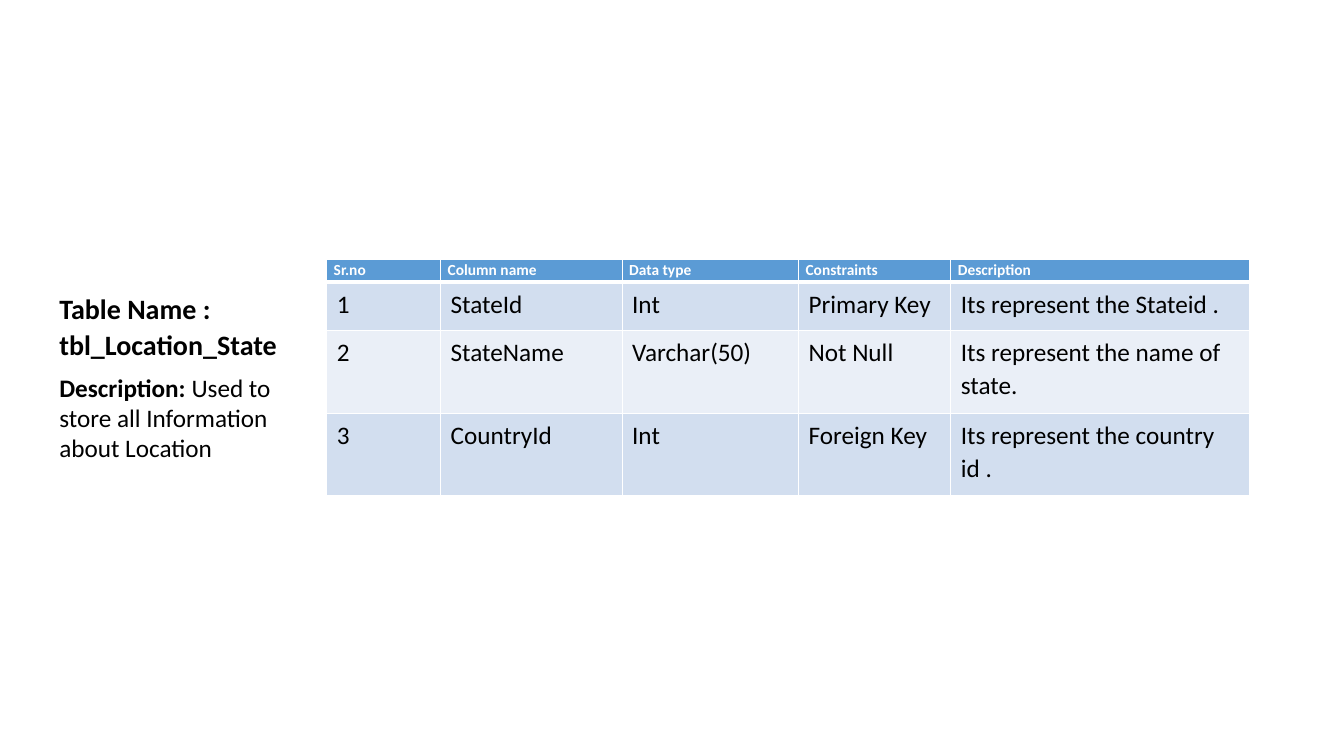
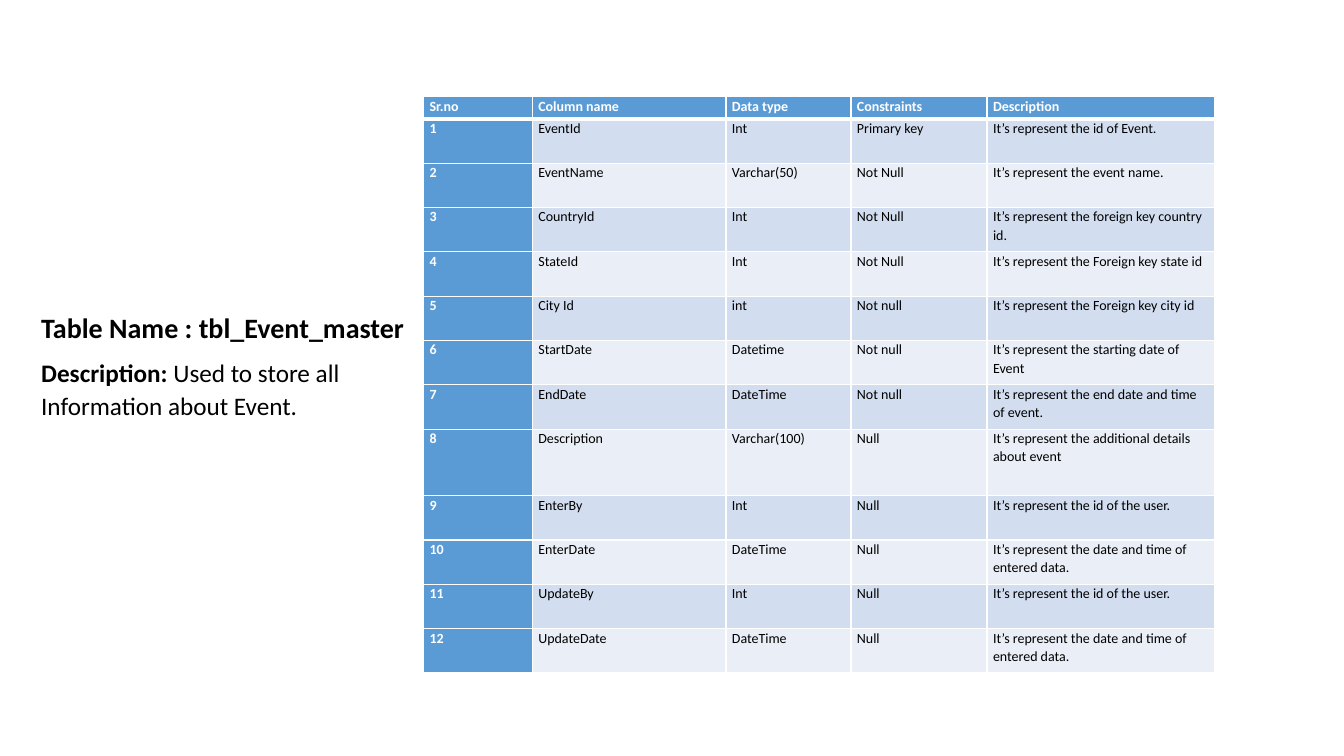
from lxml import etree
from pptx import Presentation
from pptx import util as u
from pptx.dml import color
from pptx.enum import text
from pptx.oxml import ns

HEADINGS = ["Sr.no", "Column name", "Data type", "Constraints", "Description"]

STATE_COLUMNS = [
    ("StateId", "Int", "Primary Key", "Its represent the Stateid ."),
    ("StateName", "Varchar(50)", "Not Null", "Its represent the name of state."),
    ("CountryId", "Int", "Foreign Key", "Its represent the country id ."),
]

EVENT_COLUMNS = [
    ("EventId", "Int", "Primary key", "It’s represent the id of Event."),
    ("EventName", "Varchar(50)", "Not Null", "It’s represent the event name."),
    ("CountryId", "Int", "Not Null", "It’s represent the foreign key country id."),
    ("StateId", "Int", "Not Null", "It’s represent the Foreign key state id"),
    ("City Id", "int", "Not null", "It’s represent the Foreign key city id"),
    ("StartDate", "Datetime", "Not null", "It’s represent the starting date of Event"),
    ("EndDate", "DateTime", "Not null", "It’s represent the end date and time of event."),
    ("Description", "Varchar(100)", "Null", "It’s represent the additional details about event"),
    ("EnterBy", "Int", "Null", "It’s represent the id of the user."),
    ("EnterDate", "DateTime", "Null", "It’s represent the date and time of entered data."),
    ("UpdateBy", "Int", "Null", "It’s represent the id of the user."),
    ("UpdateDate", "DateTime", "Null", "It’s represent the date and time of entered data."),
]


def rgb(value):
    return color.RGBColor.from_string(value)


class SchemaDeck:
    """Slides that each describe one database table."""

    FONT = "Calibri"
    INK, PAPER, ACCENT = "000000", "FFFFFF", "5B9BD5"
    BANDS = ("D2DEEF", "EAEFF7")
    SPACING = 1.07
    RULE, HEADER_RULE = 1, 3

    def __init__(self):
        self.deck = Presentation()
        self.deck.slide_width = u.Inches(13.33)
        self.deck.slide_height = u.Inches(7.5)

    def add_slide(self):
        self.slide = self.deck.slides.add_slide(self.deck.slide_layouts[6])

    def style(self, paragraph, size, ink, bold=None, spacing=SPACING):
        paragraph.line_spacing = spacing
        font = paragraph.font
        font.name, font.size, font.bold = self.FONT, u.Pt(size), bold
        font.color.rgb = rgb(ink)

    def caption(self, left, top, width, height, table_name, purpose, spacing=SPACING):
        box = self.slide.shapes.add_textbox(*map(u.Inches, (left, top, width, height)))
        frame = box.text_frame
        frame.word_wrap = True
        frame.auto_size = text.MSO_AUTO_SIZE.SHAPE_TO_FIT_TEXT
        heading = frame.paragraphs[0]
        heading.text = f"Table Name : {table_name}"
        self.style(heading, 20, self.INK, True)
        description = frame.add_paragraph()
        for words, bold in (("Description:", True), (f" {purpose}", False)):
            run = description.add_run()
            run.text = words
            run.font.bold = bold
        self.style(description, 18, self.INK, spacing=spacing)
        for paragraph in frame.paragraphs:
            paragraph.space_after = u.Pt(8)

    def borders(self, cell, row):
        widths = {"L": self.RULE, "R": self.RULE,
                  "T": self.HEADER_RULE if row == 1 else self.RULE,
                  "B": self.HEADER_RULE if row == 0 else self.RULE}
        properties = cell._tc.get_or_add_tcPr()
        for position, (side, width) in enumerate(widths.items()):
            line = etree.Element(ns.qn(f"a:ln{side}"), w=str(u.Pt(width)))
            fill = etree.SubElement(line, ns.qn("a:solidFill"))
            etree.SubElement(fill, ns.qn("a:srgbClr"), val=self.PAPER)
            properties.insert(position, line)

    def columns_table(self, left, top, widths, heights, columns, header_size,
                      body_size, inset, tight_body=False, number_accent=False):
        rows = [HEADINGS] + [(str(n), *column) for n, column in enumerate(columns, 1)]
        table = self.slide.shapes.add_table(
            len(rows), len(HEADINGS), u.Inches(left), u.Inches(top),
            u.Inches(sum(widths)), u.Inches(sum(heights))).table
        table.first_col = number_accent
        for column, width in zip(table.columns, widths):
            column.width = u.Inches(width)
        for row, (entries, height) in enumerate(zip(rows, heights)):
            table.rows[row].height = u.Inches(height)
            for position, entry in enumerate(entries):
                cell = table.cell(row, position)
                accent = row == 0 or (number_accent and position == 0)
                tight = row == 0 or tight_body
                cell.text = entry
                if tight:
                    cell.margin_left = cell.margin_right = u.Inches(inset)
                    cell.margin_top = cell.margin_bottom = 0
                cell.fill.solid()
                cell.fill.fore_color.rgb = rgb(self.ACCENT if accent else self.BANDS[(row - 1) % 2])
                self.borders(cell, row)
                self.style(cell.text_frame.paragraphs[0],
                           header_size if row == 0 else body_size,
                           self.PAPER if accent else self.INK, accent)

    def save(self):
        self.deck.save("out.pptx")


def main():
    schema = SchemaDeck()

    schema.add_slide()
    schema.caption(0.49, 2.82, 2.74, 1.84, "tbl_Location_State",
                   "Used to store all Information about Location", spacing=1.0)
    schema.columns_table(3.24, 2.57, [1.13, 1.8, 1.75, 1.51, 2.96],
                         [0.23, 0.48, 0.82, 0.82], STATE_COLUMNS,
                         header_size=11, body_size=18, inset=0.07)

    schema.add_slide()
    schema.caption(0.31, 3.01, 3.89, 1.22, "tbl_Event_master",
                   "Used to store all Information about Event.")
    schema.columns_table(4.2, 0.96, [1.08, 1.92, 1.24, 1.35, 2.26],
                         [0.22] + [0.44] * 7 + [0.66] + [0.44] * 4, EVENT_COLUMNS,
                         header_size=10, body_size=10, inset=0.06,
                         tight_body=True, number_accent=True)

    schema.save()


if __name__ == "__main__":
    main()
